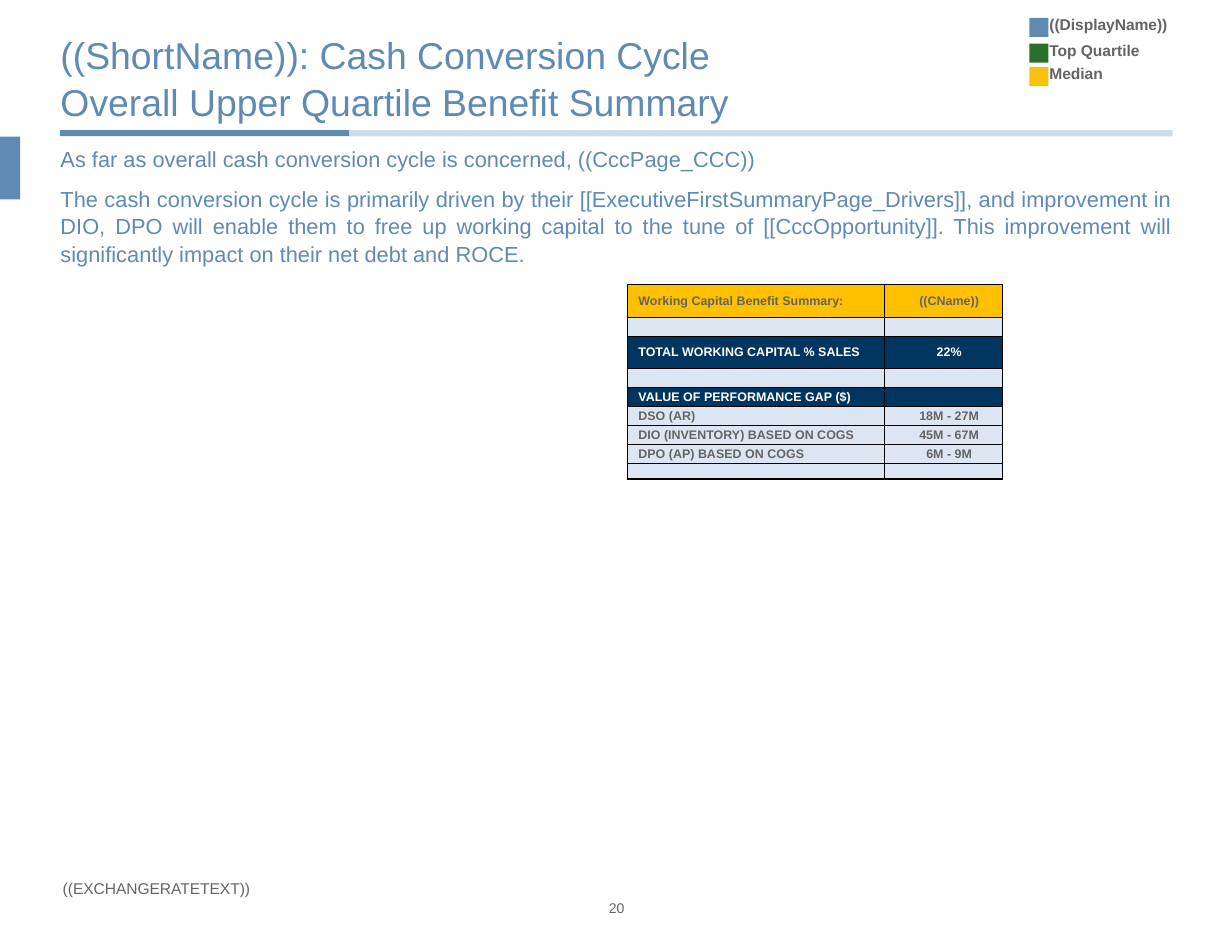
from lxml.etree import SubElement
from pptx import Presentation
from pptx.dml.color import RGBColor
from pptx.enum.shapes import MSO_CONNECTOR as CONN, MSO_SHAPE as SHAPE
from pptx.enum.text import MSO_ANCHOR as ANCHOR, PP_ALIGN as ALIGN
from pptx.oxml.ns import qn
from pptx.util import Inches, Pt

BLUE = RGBColor(0x5E, 0x8A, 0xB4)
GREEN = RGBColor(0x29, 0x70, 0x2A)
YELLOW = RGBColor(0xF9, 0xC2, 0x0A)
GOLD = RGBColor(0xFF, 0xC0, 0x00)
NAVY = RGBColor(0x00, 0x35, 0x5F)
PALE = RGBColor(0xDC, 0xE6, 0xF2)
GREY = RGBColor(0x64, 0x64, 0x64)
WHITE = RGBColor(0xFF, 0xFF, 0xFF)

# Content
TITLE = "((ShortName)): Cash Conversion Cycle\vOverall Upper Quartile Benefit Summary"
BODY = [
    "As far as overall cash conversion cycle is concerned, ((CccPage_CCC))",
    "The cash conversion cycle is primarily driven by their "
    "[[ExecutiveFirstSummaryPage_Drivers]], and improvement in DIO, DPO will enable them "
    "to free up working capital to the tune of [[CccOpportunity]]. This improvement will "
    "significantly impact on their net debt and ROCE.",
]
# label, text top, swatch top, colour
LEGEND = [
    ("((DisplayName))", 0.13, 0.16, BLUE),
    ("Top Quartile", 0.37, 0.39, GREEN),
    ("Median", 0.57, 0.6, YELLOW),
]
# label, value, row height, fill, text colour
ROWS = [
    ("Working Capital Benefit Summary:", "((CName))", 0.29, GOLD, GREY),
    ("", "", 0.17, PALE, GREY),
    ("TOTAL WORKING CAPITAL % SALES", "22%", 0.29, NAVY, WHITE),
    ("", "", 0.17, PALE, GREY),
    ("VALUE OF PERFORMANCE GAP ($)", "", 0.17, NAVY, WHITE),
    ("DSO (AR)", "18M - 27M", 0.17, PALE, GREY),
    ("DIO (INVENTORY) BASED ON COGS", "45M - 67M", 0.17, PALE, GREY),
    ("DPO (AP) BASED ON COGS", "6M - 9M", 0.17, PALE, GREY),
    ("", "", 0.14, PALE, GREY),
]
COL_WIDTHS = (2.3, 1.05)
LEFT, WIDTH = 0.54, 9.93


def write(tf, *lines, size=10, color=GREY, bold=False, align=ALIGN.LEFT,
          anchor=ANCHOR.TOP, after=0, spacing=1.0, indent=0, wrap=True):
    tf.word_wrap = wrap
    tf.vertical_anchor = anchor
    tf.margin_left = tf.margin_right = tf.margin_top = tf.margin_bottom = 0
    for i, line in enumerate(lines):
        p = tf.paragraphs[0] if i == 0 else tf.add_paragraph()
        p.text = line
        p.alignment, p.line_spacing = align, spacing
        p.space_before, p.space_after = Pt(0), Pt(after)
        pPr = p._p.get_or_add_pPr()
        pPr.set("marL", str(Inches(indent)))
        pPr.set("indent", "0")
        SubElement(pPr, qn("a:buNone"))
        for r in p.runs:
            r.font.name, r.font.size, r.font.bold = "Arial", Pt(size), bold
            r.font.color.rgb = color
        if not line:  # keeps an empty row from growing
            SubElement(p._p, qn("a:endParaRPr"), sz=str(size * 100))


def place(shape, *box):
    shape.left, shape.top, shape.width, shape.height = map(Inches, box)


def text_box(box, text, **fmt):
    write(s.shapes.add_textbox(*map(Inches, box)).text_frame, text, **fmt)


def block(box, color):
    sp = s.shapes.add_shape(SHAPE.RECTANGLE, *map(Inches, box))
    sp.shadow.inherit = False
    sp.fill.solid()
    sp.fill.fore_color.rgb = color
    sp.line.fill.background()


def rule(x1, x2, y, alpha=None):
    line = s.shapes.add_connector(CONN.STRAIGHT, *map(Inches, (x1, y, x2, y)))
    line.line.width = Pt(4)
    line.line.color.rgb = BLUE
    if alpha:
        clr = line._element.spPr.find(".//" + qn("a:srgbClr"))
        SubElement(clr, qn("a:alpha"), val=str(alpha * 1000))
    SubElement(line._element.spPr, qn("a:effectLst"))


def borders(cell, **widths):
    tcPr = cell._tc.get_or_add_tcPr()
    for side in "LRTB":
        ln = SubElement(tcPr, qn(f"a:ln{side}"), w=str(Pt(widths[side])))
        fill = SubElement(ln, qn("a:solidFill"))
        SubElement(fill, qn("a:srgbClr"), val="000000")


prs = Presentation()
prs.slide_width, prs.slide_height = Inches(11), Inches(8.5)
s = prs.slides.add_slide(prs.slide_layouts[1])

# Header rules and side tab
rule(LEFT, LEFT + WIDTH, 1.19, alpha=30)
rule(LEFT, 3.12, 1.19)
block((0, 1.22, 0.18, 0.56), BLUE)

# Title and body
title, body = s.shapes.title, s.placeholders[1]
place(title, LEFT, 0.21, WIDTH, 0.9)
write(title.text_frame, TITLE, size=24, color=BLUE, anchor=ANCHOR.BOTTOM, spacing=1.05)
place(body, LEFT, 1.29, WIDTH, 1.08)
write(body.text_frame, *BODY, size=14, color=BLUE, align=ALIGN.JUSTIFY,
      after=8, spacing=1.05)

# Benefit table
frame = s.shapes.add_table(len(ROWS), 2, Inches(5.6), Inches(2.54),
                           Inches(sum(COL_WIDTHS)), Inches(sum(r[2] for r in ROWS)))
table = frame.table
table.first_row = table.horz_banding = False
for col, width in zip(table.columns, COL_WIDTHS):
    col.width = Inches(width)
last = len(ROWS) - 1
for i, (label, value, height, fill, color) in enumerate(ROWS):
    table.rows[i].height = Inches(height)
    for j, (text, align) in enumerate(((label, ALIGN.LEFT), (value, ALIGN.CENTER))):
        cell = table.cell(i, j)
        write(cell.text_frame, text, size=8, color=color, bold=True, align=align, indent=0.1)
        cell.margin_left = cell.margin_right = cell.margin_top = cell.margin_bottom = 0
        cell.vertical_anchor = ANCHOR.MIDDLE
        borders(cell, L=1 if j == 0 else 0.5, R=1 if j == 1 else 0.5,
                T=1 if i == 0 else 0.5, B=1 if i == last else 0.5)
        cell.fill.solid()
        cell.fill.fore_color.rgb = fill

# Legend
for label, text_top, swatch_top, color in LEGEND:
    block((9.19, swatch_top, 0.17, 0.17), color)
    text_box((9.37, text_top, 1.5, 0.17), label, bold=True)

# Footer
text_box((5.32, 8.03, 0.37, 0.15), "20", size=9, align=ALIGN.CENTER)
text_box((0.56, 7.85, 2.95, 0.15), "((EXCHANGERATETEXT))", wrap=False)

prs.save("out.pptx")
